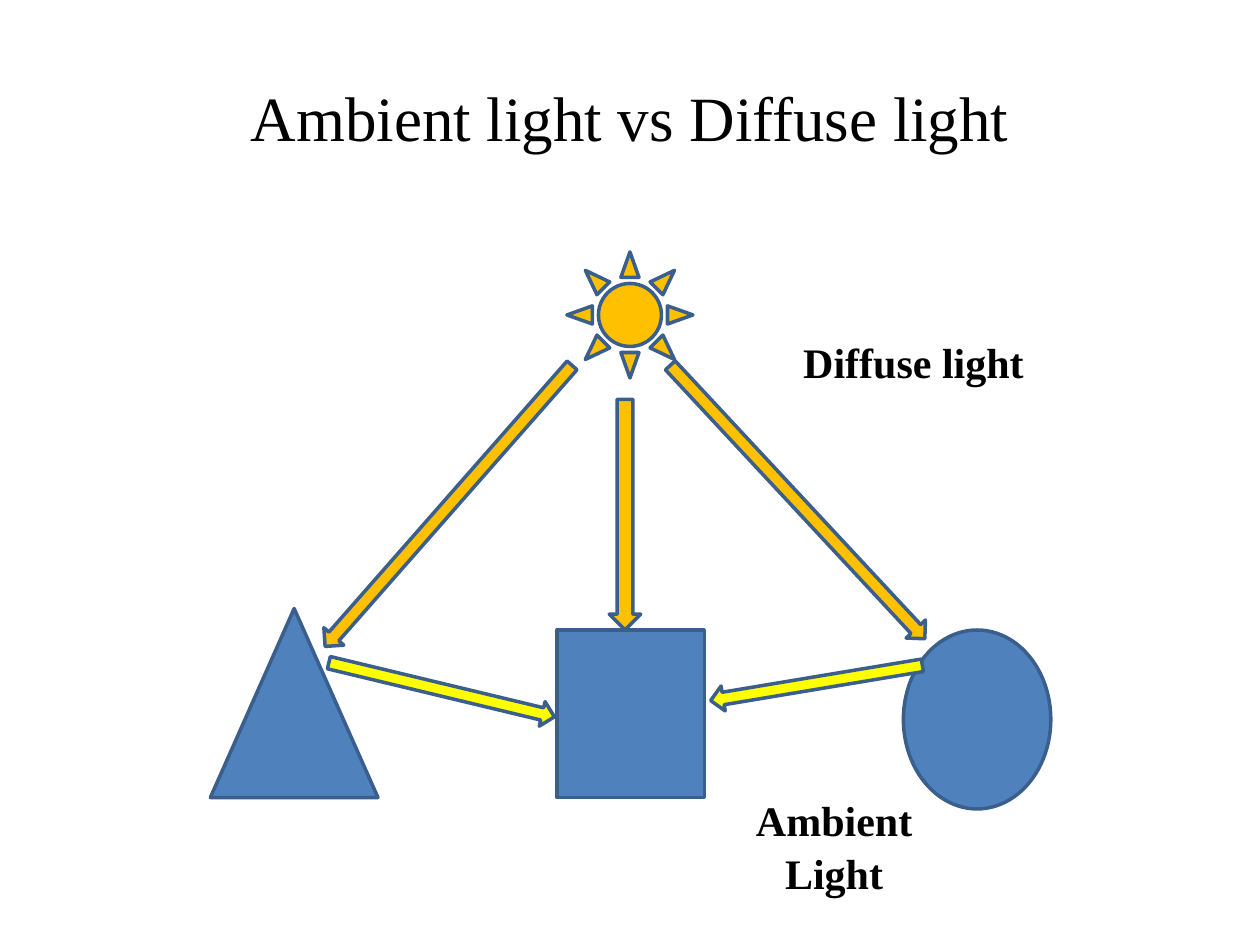
import math

from pptx import Presentation
from pptx import util as u
from pptx.dml.color import RGBColor
from pptx.enum import shapes, text

# Content: lengths in inches on a 10 x 7.5 slide
WIDTH, HEIGHT = 10, 7.5
FONT = "Times New Roman"
COLORS = {"ink": "000000", "object": "4F81BD", "outline": "3A5F8C",
          "diffuse": "FFC000", "ambient": "FFFF00"}
KIND = shapes.MSO_SHAPE

LABELS = [  # wording, box, format
    ("Ambient light vs Diffuse light", (0.5, 0.3, 9, 1.25), {"size": 36}),
    ("Diffuse light", (6.25, 2.58, 2, 0.58), {"size": 24, "bold": True}),
    ("Ambient Light", (5.83, 6.33, 1.58, 0.75),
     {"size": 24, "bold": True, "spacing": 1.05}),
]
SCENE = [  # preset, box, color
    (KIND.RECTANGLE, (4.42, 5, 1.17, 1.33), "object"),
    (KIND.ISOSCELES_TRIANGLE, (1.67, 4.83, 1.33, 1.5), "object"),
    (KIND.OVAL, (7.17, 5, 1.17, 1.42), "object"),
    (KIND.SUN, (4.5, 2, 1, 1), "diffuse"),
]
RAYS = [  # start, tip, thickness, color
    ((5.32, 2.9), (7.34, 5.07), 0.21, "diffuse"),
    ((4.54, 2.9), (2.58, 5.13), 0.21, "diffuse"),
    ((7.32, 5.28), (5.64, 5.56), 0.2, "ambient"),
    ((2.61, 5.26), (4.4, 5.69), 0.2, "ambient"),
    ((4.96, 3.17), (4.96, 5), 0.25, "diffuse"),
]


def color(name):
    return RGBColor.from_string(COLORS[name])


def add_solid(slide, preset, box, fill):
    solid = slide.shapes.add_shape(preset, *map(u.Inches, box))
    solid.shadow.inherit = False
    solid.fill.solid()
    solid.fill.fore_color.rgb = color(fill)
    solid.line.color.rgb = color("outline")
    solid.line.width = u.Pt(2)
    return solid


def add_ray(slide, start, tip, thickness, fill):
    """Lay a block arrow from start to tip, turned about its middle."""
    dx, dy = tip[0] - start[0], tip[1] - start[1]
    length = math.hypot(dx, dy)
    left = (start[0] + tip[0] - length) / 2
    top = (start[1] + tip[1] - thickness) / 2
    ray = add_solid(slide, KIND.RIGHT_ARROW, (left, top, length, thickness), fill)
    ray.rotation = math.degrees(math.atan2(dy, dx))


def add_label(slide, wording, box, *, size, bold=False, spacing=None):
    frame = slide.shapes.add_textbox(*map(u.Inches, box)).text_frame
    frame.word_wrap = True
    frame.vertical_anchor = text.MSO_ANCHOR.MIDDLE
    line = frame.paragraphs[0]
    line.alignment = text.PP_ALIGN.CENTER
    line.line_spacing = spacing
    run = line.add_run()
    run.text = wording
    run.font.name = FONT
    run.font.size = u.Pt(size)
    run.font.bold = bold
    run.font.color.rgb = color("ink")


def main():
    deck = Presentation()
    deck.slide_width, deck.slide_height = u.Inches(WIDTH), u.Inches(HEIGHT)
    slide = deck.slides.add_slide(deck.slide_layouts[6])

    # Light source and lit objects
    for preset, box, fill in SCENE:
        add_solid(slide, preset, box, fill)
    # Direct and reflected rays
    for ray in RAYS:
        add_ray(slide, *ray)
    # Title and captions
    for wording, box, style in LABELS:
        add_label(slide, wording, box, **style)

    deck.save("out.pptx")


if __name__ == "__main__":
    main()
